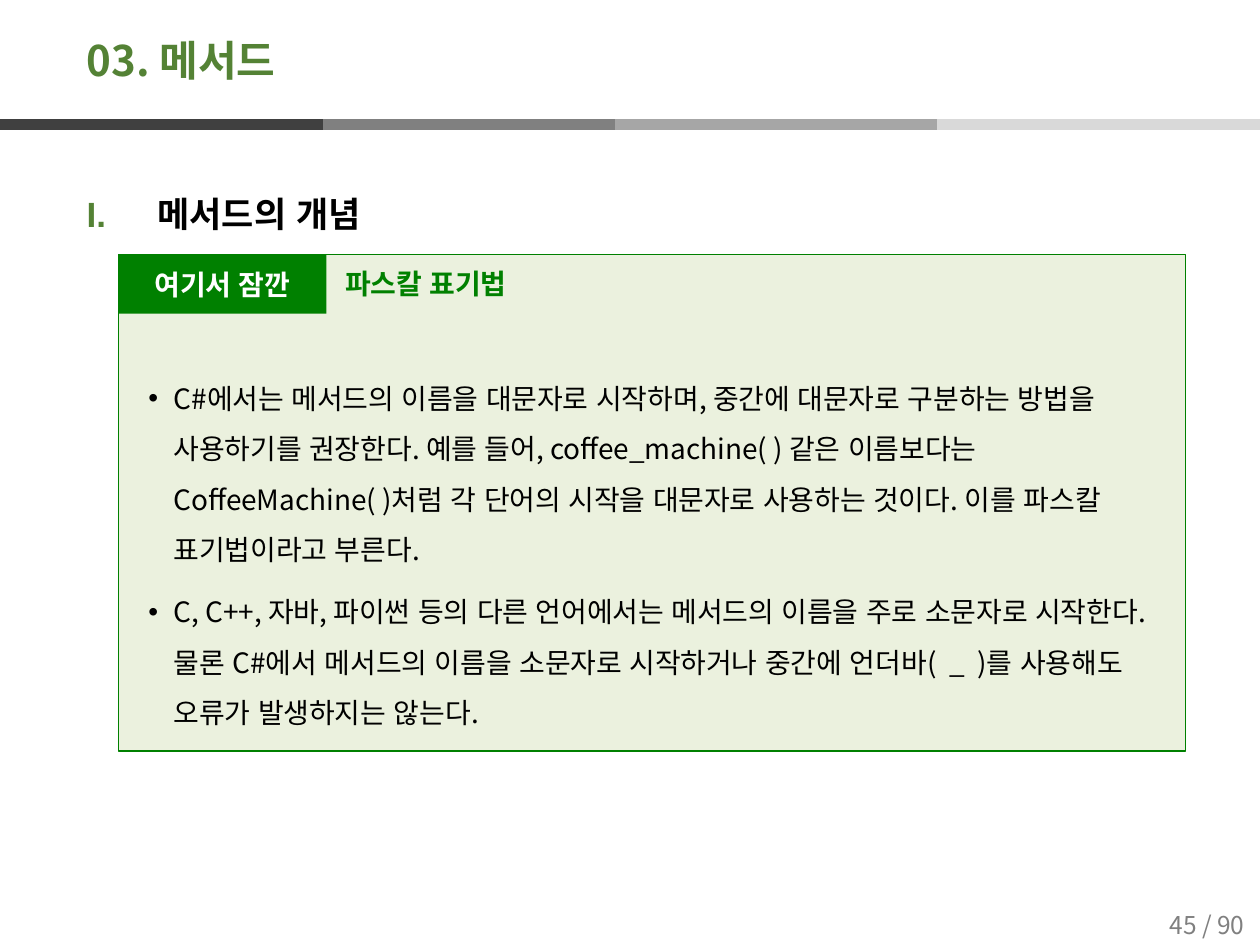
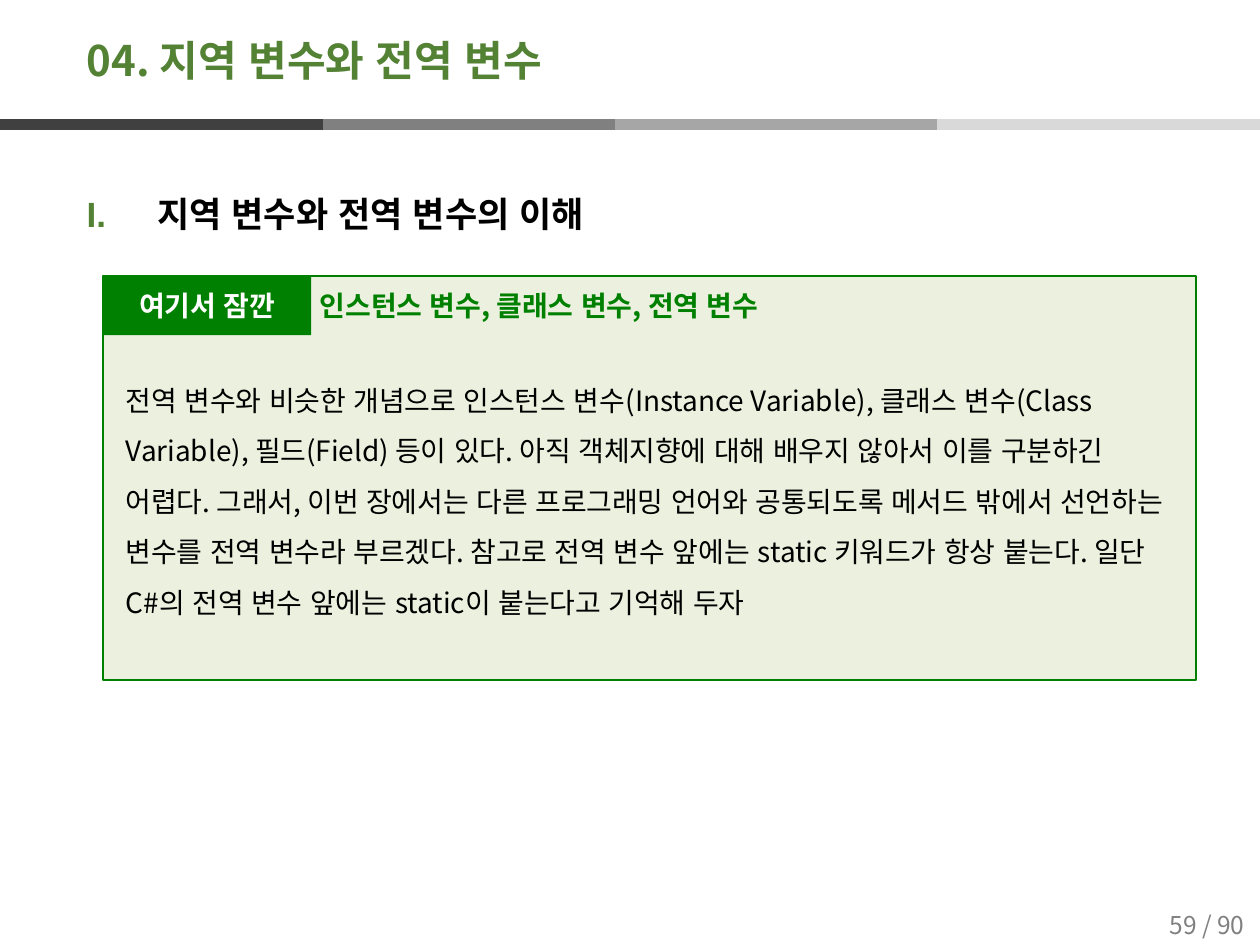
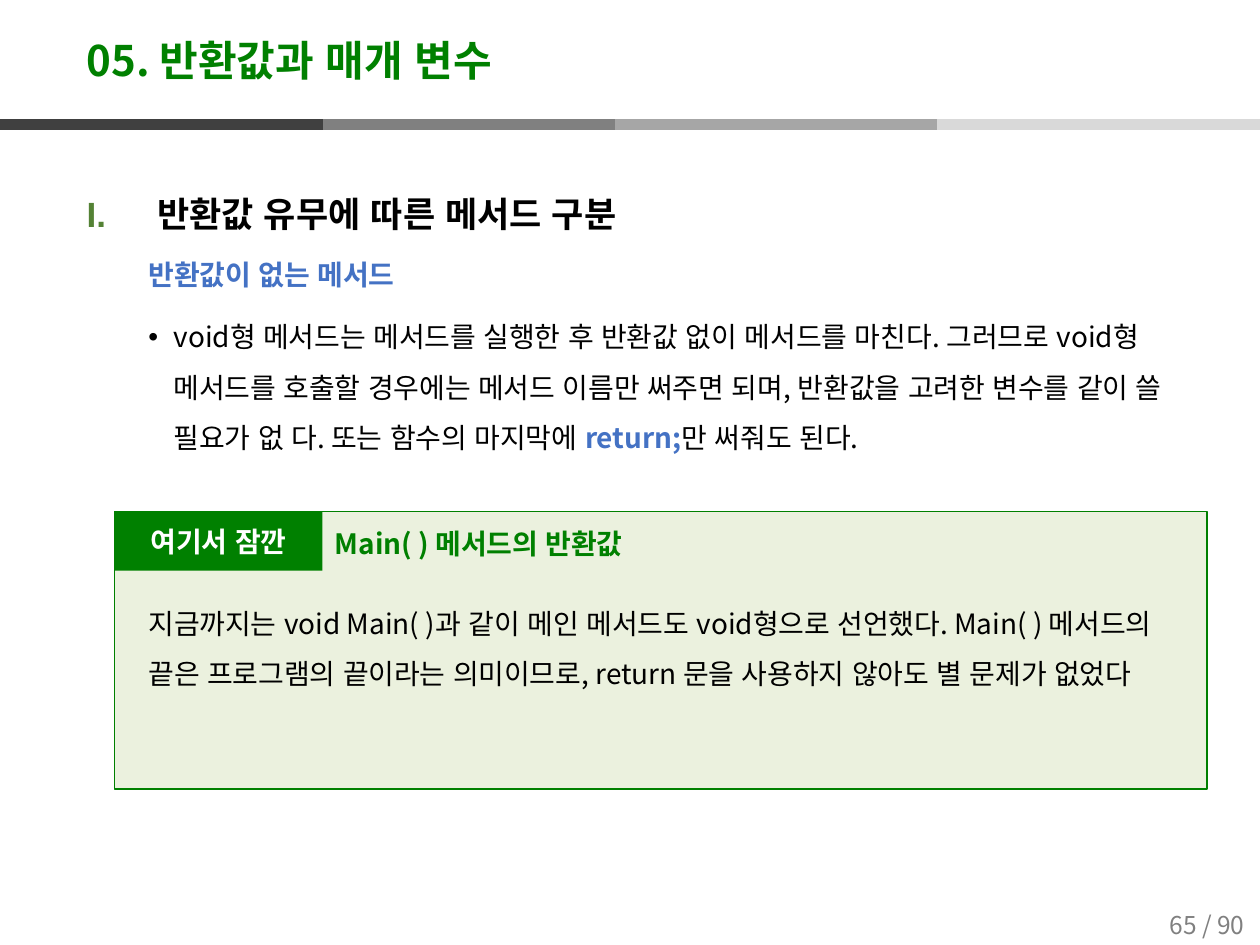
from lxml import etree
from pptx import Presentation
from pptx.dml import color
from pptx.enum import lang, shapes, text
from pptx.oxml import ns
from pptx.util import Inches, Pt

COLORS = {
    "black": "000000", "white": "FFFFFF", "green": "008000", "olive": "548235",
    "pale": "EBF1DE", "blue": "4472C4", "gray": "808080",
}
BAND = [(2.32, 4.88, "808080"), (4.88, 7.44, "A6A6A6"),
        (7.44, 10, "D9D9D9"), (0, 2.56, "404040")]
KOREAN = "Noto Sans CJK KR"
LATIN = "Arial"
TOTAL = 90


def rgb(name):
    return color.RGBColor.from_string(COLORS.get(name, name))


def add_child(parent, tag, **attributes):
    return etree.SubElement(parent, ns.qn(tag), attributes)


class Lesson:
    def __init__(self):
        self.deck = Presentation()
        self.deck.slide_width, self.deck.slide_height = Inches(10), Inches(7.5)
        self.page = None

    def start(self, number, title_runs, tint):
        self.page = self.deck.slides.add_slide(self.deck.slide_layouts[6])
        for left, right, shade in BAND:
            self.line(left, right, 0.99, shade)
        footer = self.box(9.09, 7.14, 0.98, 0.39, middle=True)
        footer.paragraphs[0].alignment = text.PP_ALIGN.CENTER
        self.span(footer.paragraphs[0], f"{number} / {TOTAL}", 14, "gray")
        para = self.box(0.59, 0.2, 8.74, 0.6, middle=True).paragraphs[0]
        para.line_spacing = 0.9
        for words, font in title_runs:
            self.span(para, words, 24, tint, True, font)

    def line(self, left, right, top, shade):
        rule = self.page.shapes.add_connector(
            shapes.MSO_CONNECTOR.STRAIGHT, Inches(left), Inches(top), Inches(right), Inches(top))
        rule.line.color.rgb = rgb(shade)
        rule.line.width = Pt(6)
        add_child(rule.line._get_or_add_ln().getparent(), "a:effectLst")

    def box(self, left, top, width, height, middle=False):
        frame = self.page.shapes.add_textbox(
            Inches(left), Inches(top), Inches(width), Inches(height)).text_frame
        frame.word_wrap = True
        if middle:
            frame.vertical_anchor = text.MSO_ANCHOR.MIDDLE
        return frame

    def rectangle(self, left, top, width, height, fill, outline=None):
        shape = self.page.shapes.add_shape(
            shapes.MSO_SHAPE.RECTANGLE, Inches(left), Inches(top), Inches(width), Inches(height))
        shape.shadow.inherit = False
        shape.fill.solid()
        shape.fill.fore_color.rgb = rgb(fill)
        if outline:
            shape.line.color.rgb = rgb(outline)
            shape.line.width = Pt(1)
        else:
            shape.line.fill.background()
        return shape.text_frame

    def span(self, para, words, size, tint="black", bold=False, font=KOREAN):
        span = para.add_run()
        span.text = words
        span.font.size = Pt(size)
        span.font.bold = bold
        span.font.color.rgb = rgb(tint)
        span.font.language_id = lang.MSO_LANGUAGE_ID.KOREAN
        span.font.name = font
        add_child(span.font._element, "a:ea", typeface=LATIN)

    def callout(self, left, top, width, height, caption, caption_left, caption_top):
        self.rectangle(left, top, width, height, "pale", "green")
        label = self.rectangle(left, top, 1.65, 0.47, "green")
        label.vertical_anchor = text.MSO_ANCHOR.MIDDLE
        label.paragraphs[0].alignment = text.PP_ALIGN.CENTER
        self.span(label.paragraphs[0], "여기서 잠깐", 16, "white", True)
        frame = self.box(caption_left, caption_top, 5.28, 0.37)
        self.span(frame.paragraphs[0], caption, 16, "green", True)

    def body(self, heading, width=8.9):
        frame = self.box(0.59, 1.31, width, 6.19)
        para = frame.paragraphs[0]
        para.line_spacing = 1.5
        layout = self.indent(para, 0.56, -0.56)
        add_child(add_child(layout, "a:buClr"), "a:srgbClr", val=COLORS["olive"])
        add_child(layout, "a:buFont", typeface=LATIN)
        add_child(layout, "a:buAutoNum", type="romanUcPeriod")
        self.span(para, heading, 20, bold=True, font=LATIN)
        return frame

    def indent(self, para, left, first):
        layout = para._p.get_or_add_pPr()
        layout.set("marL", str(Inches(left)))
        layout.set("indent", str(Inches(first)))
        return layout

    def paragraph(self, frame, runs, left=0.49, bullet=False, before=3.8):
        para = frame.add_paragraph()
        para.line_spacing = 1.5
        para.space_before, para.space_after = Pt(before), Pt(3)
        if bullet:
            layout = self.indent(para, 0.69, -0.2)
            add_child(layout, "a:buFont", typeface=LATIN)
            add_child(layout, "a:buChar", char="•")
        else:
            self.indent(para, left, 0)
        for words, tint, bold in runs:
            self.span(para, words, 16, tint, bold)


def plain(words):
    return [(words, "black", False)]


def main():
    lesson = Lesson()

    lesson.start(45, [("03. 메서드", KOREAN)], "olive")
    lesson.callout(0.94, 2.02, 8.47, 3.94, "파스칼 표기법", 2.64, 2.07)
    body = lesson.body("메서드의 개념", 8.74)
    lesson.paragraph(body, plain(
        "C#에서는 메서드의 이름을 대문자로 시작하며, 중간에 대문자로 구분하는 방법을 사용하기를 권장한다. "
        "예를 들어, coffee_machine( ) 같은 이름보다는 CoffeeMachine( )처럼 각 단어의 시작을 "
        "대문자로 사용하는 것이다. 이를 파스칼 표기법이라고 부른다."), bullet=True, before=74.5)
    lesson.paragraph(body, plain(
        "C, C++, 자바, 파이썬 등의 다른 언어에서는 메서드의 이름을 주로 소문자로 시작한다. "
        "물론 C#에서 메서드의 이름을 소문자로 시작하거나 중간에 언더바(  _  )를 "
        "사용해도 오류가 발생하지는 않는다."), bullet=True)

    lesson.start(59, [("04. 지역 변수와 전역 변수", KOREAN)], "olive")
    lesson.callout(0.82, 2.19, 8.67, 3.21, "인스턴스 변수, 클래스 변수, 전역 변수", 2.44, 2.24)
    body = lesson.body("지역 변수와 전역 변수의 이해")
    lesson.paragraph(body, plain(
        "전역 변수와 비슷한 개념으로 인스턴스 변수(Instance Variable), 클래스 변수(Class Variable), "
        "필드(Field) 등이 있다. 아직 객체지향에 대해 배우지 않아서 이를 구분하긴 어렵다. "
        "그래서, 이번 장에서는 다른 프로그래밍 언어와 공통되도록 메서드 밖에서 선언하는 변수를 "
        "전역 변수라 부르겠다. 참고로 전역 변수 앞에는 static 키워드가 항상 붙는다. "
        "일단 C#의 전역 변수 앞에는 static이 붙는다고 기억해 두자"), left=0.31, before=75.8)

    lesson.start(65, [("05. ", KOREAN), ("반환값과 매개 변수", LATIN)], "green")
    lesson.callout(0.91, 4.06, 8.67, 2.2, "Main( ) 메서드의 반환값", 2.56, 4.13)
    body = lesson.body("반환값 유무에 따른 메서드 구분")
    lesson.paragraph(body, [("반환값이 없는 메서드", "blue", True)])
    lesson.paragraph(body, [
        ("void형 메서드는 메서드를 실행한 후 반환값 없이 메서드를 마친다. "
         "그러므로 void형 메서드를 호출할 경우에는 메서드 이름만 써주면 되며, "
         "반환값을 고려한 변수를 같이 쓸 필요가 없 다. 또는 함수의 마지막에 ", "black", False),
        ("return;", "blue", True),
        ("만 써줘도 된다.", "black", False)], bullet=True)
    lesson.paragraph(body, plain(
        "지금까지는 void Main( )과 같이 메인 메서드도 void형으로 선언했다. "
        "Main( ) 메서드의 끝은 프로그램의 끝이라는 의미이므로, "
        "return 문을 사용하지 않아도 별 문제가 없었다"), before=74.5)

    lesson.deck.save("out.pptx")


if __name__ == "__main__":
    main()
